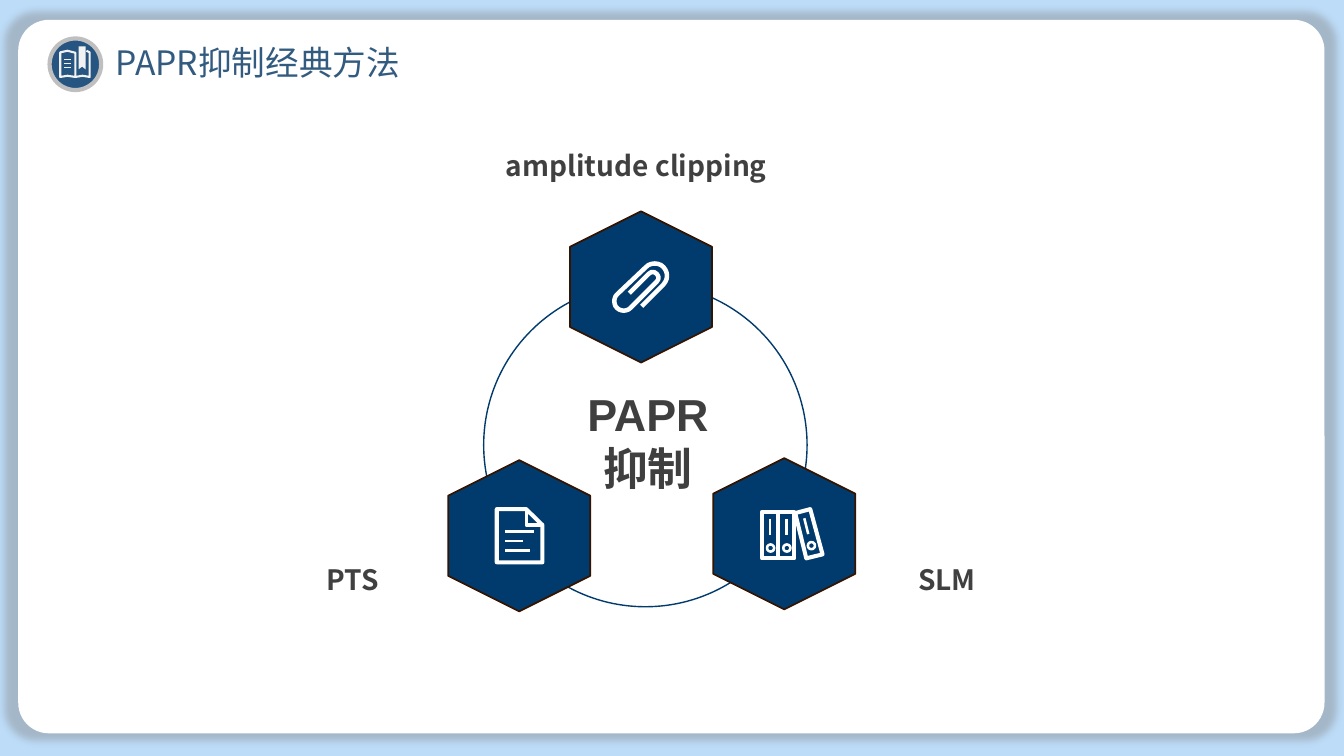
import math

import pptx
import pptx.dml.color
import pptx.enum.shapes
import pptx.enum.text
import pptx.oxml
import pptx.oxml.ns
import pptx.util

Cm = pptx.util.Cm
Pt = pptx.util.Pt
KIND = pptx.enum.shapes.MSO_SHAPE
ALIGN = pptx.enum.text.PP_ALIGN
ANCHOR = pptx.enum.text.MSO_ANCHOR
RGB = pptx.dml.color.RGBColor.from_string
HUES = {"sky": "BDDCF8", "white": "FFFFFF", "pale": "F2F2F2", "navy": "013B6D",
        "edge": "321400", "badge": "255580", "ring": "BFBFBF", "title": "325B7F",
        "label": "404040", "core": "3F3F3F"}


def paint(shape, fill=None, line=None, width=1):
    """Give a shape its fill and line, or none, and drop its shadow."""
    shape.shadow.inherit = False
    if fill:
        shape.fill.solid()
        shape.fill.fore_color.rgb = RGB(HUES[fill])
    else:
        shape.fill.background()
    if line:
        shape.line.color.rgb = RGB(HUES[line])
        shape.line.width = Pt(width)
    else:
        shape.line.fill.background()


def write(shape, text, size, hue, fonts, inset, align, anchor, bold):
    """Fill a text frame; fonts holds the Latin and the East Asian face."""
    frame = shape.text_frame
    side, top = inset
    look = {"word_wrap": True, "vertical_anchor": anchor,
            "auto_size": pptx.enum.text.MSO_AUTO_SIZE.NONE,
            "margin_left": Cm(side), "margin_right": Cm(side),
            "margin_top": Cm(top), "margin_bottom": Cm(top)}
    for name, value in look.items():
        setattr(frame, name, value)
    para = frame.paragraphs[0]
    para.alignment = align
    run = para.add_run()
    run.text = text
    for name, value in {"size": Pt(size), "bold": bold, "name": fonts[0]}.items():
        setattr(run.font, name, value)
    run.font.color.rgb = RGB(HUES[hue])
    east = pptx.oxml.parse_xml(f'<a:ea {pptx.oxml.ns.nsdecls("a")} typeface="{fonts[1]}"/>')
    run.font._element.find(pptx.oxml.ns.qn("a:latin")).addnext(east)
    return para


deck = pptx.Presentation()
deck.slide_width, deck.slide_height = Cm(33.87), Cm(19.05)
slide = deck.slides.add_slide(deck.slide_layouts[5])
shapes = slide.shapes
slide.background.fill.solid()
slide.background.fill.fore_color.rgb = RGB(HUES["sky"])

# White panel with a soft halo, behind the title
panel = shapes.add_shape(KIND.ROUNDED_RECTANGLE, Cm(0.46), Cm(0.5), Cm(32.92), Cm(17.98))
panel.adjustments[0] = 0.043
paint(panel, "white")
glow = pptx.oxml.parse_xml(
    f'<a:outerShdw {pptx.oxml.ns.nsdecls("a")} blurRad="63500" sx="102000" sy="102000" '
    'algn="ctr" rotWithShape="0"><a:srgbClr val="808080"><a:alpha val="40000"/>'
    '</a:srgbClr></a:outerShdw>')
panel._element.spPr.find(pptx.oxml.ns.qn("a:effectLst")).append(glow)
shapes._spTree.insert(2, panel._element)

title = shapes.title
title.left, title.top, title.width, title.height = Cm(2.59), Cm(0.89), Cm(11.3), Cm(1.37)
write(title, "PAPR抑制经典方法", 24, "title", ("Noto Sans CJK JP",) * 2,
      (0.33, 0.18), ALIGN.LEFT, ANCHOR.MIDDLE, False)

badge = shapes.add_shape(KIND.OVAL, Cm(1.25), Cm(0.97), Cm(1.3), Cm(1.3))
paint(badge, "badge", "ring", 3)

# Ring with its three hexagons
orbit = shapes.add_shape(KIND.OVAL, Cm(12.19), Cm(7.14), Cm(8.15), Cm(8.15))
paint(orbit, None, "navy", 1)
for left, top in [(14.25, 5.44), (11.18, 11.71), (17.86, 11.66)]:
    node = shapes.add_shape(KIND.HEXAGON, Cm(left), Cm(top), Cm(3.81), Cm(3.58))
    node.rotation = 270
    paint(node, "navy", "edge", 1.25)

for text, left, top, width, height, align in [
        ("amplitude clipping", 12.34, 3.71, 7.82, 1.75, ALIGN.JUSTIFY),
        ("SLM", 22.73, 14.15, 2.67, 1.09, ALIGN.LEFT),
        ("PTS", 7.82, 14.15, 2.64, 1.09, ALIGN.LEFT)]:
    label = shapes.add_textbox(Cm(left), Cm(top), Cm(width), Cm(height))
    para = write(label, text, 20, "label", ("Noto Sans CJK SC",) * 2,
                 (0.41, 0.2), align, ANCHOR.TOP, True)
    para.line_spacing = Pt(19.2)

core = shapes.add_textbox(Cm(14.73), Cm(9.75), Cm(3.2), Cm(2.74))
write(core, "PAPR抑制", 32, "core", ("Arial", "Noto Sans CJK SC"),
      (0, 0), ALIGN.CENTER, ANCHOR.TOP, True)

# Icon strokes: points in hundredths of a centimetre, closed or not, hue, width
clip = [(1617, 772)]
for x, y, radius, start in [(1650, 695, 31, 45), (1572, 759, 24, 225), (1645, 700, 14, 45)]:
    for step in range(0, 181, 15):
        turn = math.radians(start - step)
        clip.append((x + radius * math.cos(turn), y + radius * math.sin(turn)))
clip.append((1586, 739))

strokes = [
    (clip, False, "white", 3.2),
    ([(1252, 1283), (1326, 1283), (1367, 1323), (1367, 1417), (1252, 1417)], True, "white", 2.9),
    ([(1326, 1283), (1326, 1323), (1367, 1323)], False, "white", 2.2),
    ([(2004, 1293), (2042, 1283), (2073, 1397), (2032, 1407)], True, "white", 2.9),
    ([(2027, 1306), (2037, 1346)], False, "white", 1.8),
    ([(152, 132), (170, 128), (190, 133), (190, 194), (170, 191), (152, 194)], True, "pale", 1.5),
    ([(190, 194), (208, 191), (226, 194), (226, 132), (218, 128)], False, "pale", 1.5)]
for row, end in enumerate([1346, 1318, 1336]):
    y = 1339 + 24 * row
    strokes.append(([(1274, y), (end, y)], False, "white", 1.8))
for left in (1920, 1961):
    right = left + 41
    strokes.append(([(left, 1290), (right, 1290), (right, 1407), (left, 1407)],
                    True, "white", 2.9))
    strokes.append(([(left + 21, 1308), (left + 21, 1349)], False, "white", 1.8))
for y in (149, 160, 171):
    strokes.append(([(161, y), (180, y)], False, "pale", 0.75))
mark = [(198, 117), (216, 117), (216, 175), (207, 168), (198, 175)]
strokes.append((mark, True, "pale", 0))

for points, closed, hue, width in strokes:
    pen = shapes.build_freeform(*points[0], scale=Cm(0.01))
    pen.add_line_segments(points[1:], close=closed)
    icon = pen.convert_to_shape()
    if width:
        paint(icon, None, hue, width)
    else:
        paint(icon, hue)

for x, y in [(19.42, 13.81), (19.83, 13.81), (20.45, 13.75)]:
    hole = shapes.add_shape(KIND.OVAL, Cm(x - 0.09), Cm(y - 0.09), Cm(0.18), Cm(0.18))
    paint(hole, None, "white", 1.8)

deck.save("out.pptx")
